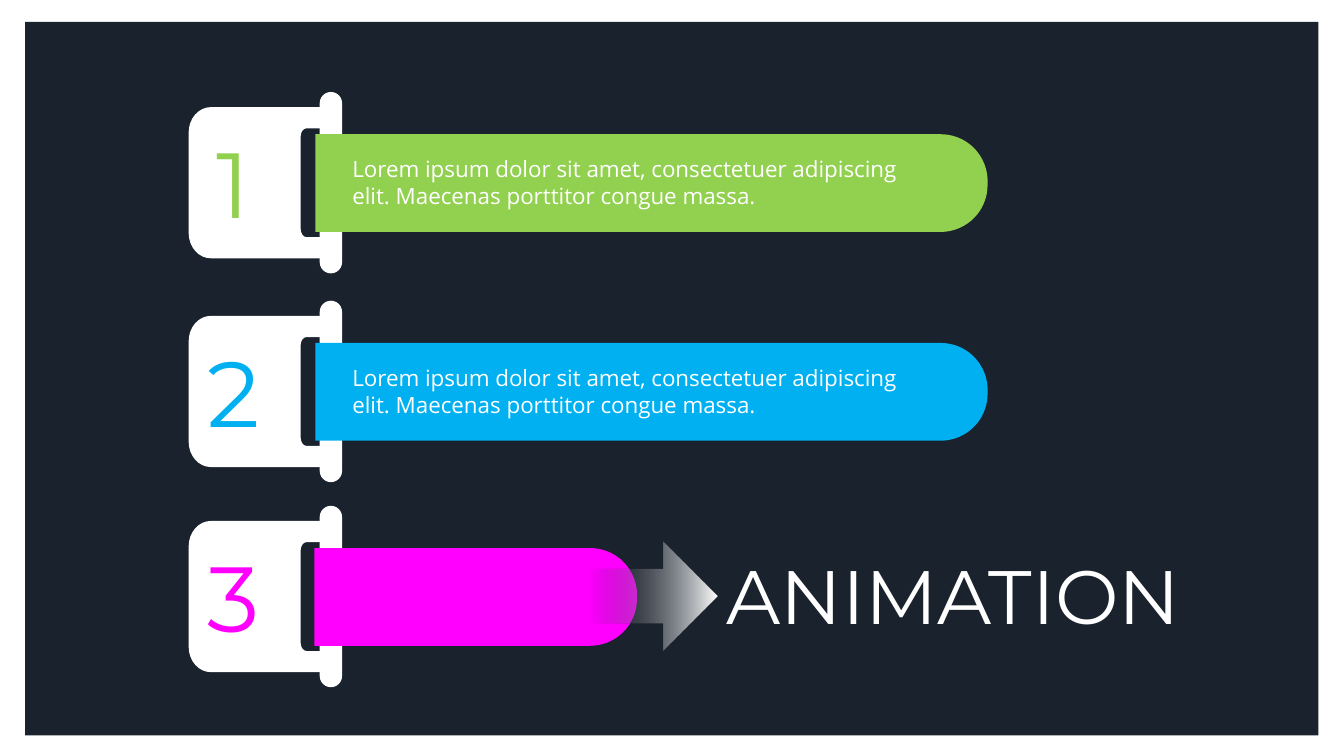
from pptx import Presentation
from pptx.dml.color import RGBColor
from pptx.enum.shapes import MSO_SHAPE as Preset
from pptx.enum.text import MSO_AUTO_SIZE as AutoSize, PP_ALIGN as Align
from pptx.oxml.ns import qn
from pptx.oxml.xmlchemy import OxmlElement
from pptx.util import Pt

WHITE = RGBColor(0xFF, 0xFF, 0xFF)
NAVY = RGBColor(0x1A, 0x22, 0x2D)
GREEN = RGBColor(0x92, 0xD0, 0x50)
BLUE = RGBColor(0x00, 0xB0, 0xF0)
MAGENTA = RGBColor(0xFF, 0x00, 0xFF)

HEADING_FONT = "Montserrat"
BODY_FONT = "Open Sans"
LOREM = ("Lorem ipsum dolor sit amet, consectetuer adipiscing elit. "
         "Maecenas porttitor congue massa.")
BAND_HEIGHT = 69.8
ROWS = [
    ("1", 65.7, GREEN, 225.2, 480.2, LOREM),
    ("2", 214.8, BLUE, 225.2, 480.2, LOREM),
    ("3", 361.3, MAGENTA, 224.6, 230.4, None),
]
TAB_LEFT = 127.8
TAB_OUTLINE = [
    (108, 15.9), (108, 94), (92.9, 94), (92.9, 84.3), (87.1, 80),
    (20.9, 80), (15.1, 84.3), (15.1, 94), (0, 94), (0, 15.9),
    (18, 0), (90, 0), (108, 15.9),
]
TAB_CORNERS = {4: (92.9, 80), 6: (15.1, 80), 10: (0, 0), 12: (108, 0)}
ROUNDNESS = 0.55


def paint(shape, color):
    """Give a shape a flat fill with no line or shadow."""
    shape.shadow.inherit = False
    shape.line.fill.background()
    shape.fill.solid()
    shape.fill.fore_color.rgb = color


def add_block(holder, preset, left, top, width, height, color):
    """Add a flat preset shape and return it."""
    shape = holder.shapes.add_shape(
        preset, Pt(left), Pt(top), Pt(width), Pt(height))
    paint(shape, color)
    return shape


def add_text(holder, text, left, top, width, height, size, font, color,
             align=Align.LEFT):
    """Add a wrapped text box with one paragraph."""
    box = holder.shapes.add_textbox(Pt(left), Pt(top), Pt(width), Pt(height))
    frame = box.text_frame
    frame.word_wrap = True
    frame.auto_size = AutoSize.SHAPE_TO_FIT_TEXT
    frame.text = text
    para = frame.paragraphs[0]
    para.alignment = align
    span = para.runs[0]
    span.font.size = Pt(size)
    span.font.name = font
    span.font.color.rgb = color


def toward(point, target):
    """Return the curve handle between a point and a corner."""
    return tuple(a + (b - a) * ROUNDNESS for a, b in zip(point, target))


def round_corners(shape):
    """Turn the short corner lines of a tab into curves."""
    lines = list(shape.element.iter(qn("a:lnTo")))
    for index, target in TAB_CORNERS.items():
        start, end = TAB_OUTLINE[index - 1:index + 1]
        curve = OxmlElement("a:cubicBezTo")
        for x, y in (toward(start, target), toward(end, target), end):
            point = OxmlElement("a:pt")
            point.set("x", str(Pt(x)))
            point.set("y", str(Pt(y)))
            curve.append(point)
        line = lines[index - 1]
        line.getparent().replace(line, curve)


def add_tab(holder, top):
    """Add the white rounded tab with a slot on its right edge."""
    points = [(Pt(TAB_LEFT + x), Pt(top + 17.8 + y)) for x, y in TAB_OUTLINE]
    builder = holder.shapes.build_freeform(*points[0])
    builder.add_line_segments(points[1:], close=True)
    tab = builder.convert_to_shape()
    paint(tab, WHITE)
    round_corners(tab)
    tab.rotation = 270


def add_post(page, top):
    """Add the upright white post of a row."""
    post = add_block(page, Preset.ROUNDED_RECTANGLE,
                     228.4, top, 16, 129.6, WHITE)
    post.adjustments[0] = 0.5


def add_band(holder, left, middle, length, color):
    """Add a coloured band whose right end is rounded."""
    band = add_block(
        holder, Preset.ROUND_2_SAME_RECTANGLE,
        left + (length - BAND_HEIGHT) / 2, middle - length / 2,
        BAND_HEIGHT, length, color)
    band.adjustments[0] = 0.48
    band.adjustments[1] = 0
    band.rotation = 90


def add_fading_arrow(page):
    """Add the arrow that fades in from clear to white."""
    arrow = add_block(page, Preset.RIGHT_ARROW, 418.3, 386.6, 94.3, 77.8, WHITE)
    arrow.fill.gradient()
    arrow.fill.gradient_angle = 0
    for stop, position, color in zip(
            arrow.fill.gradient_stops, (0.03, 1), (NAVY, WHITE)):
        stop.position = position
        stop.color.rgb = color
    alpha = OxmlElement("a:alpha")
    alpha.set("val", "0")
    next(arrow.element.iter(qn("a:srgbClr"))).append(alpha)


def main():
    """Build and save the slide."""
    deck = Presentation()
    deck.slide_width, deck.slide_height = Pt(960), Pt(540)
    page = deck.slides.add_slide(deck.slide_layouts[6])
    add_block(page, Preset.RECTANGLE, 18, 15.7, 923.8, 509.6, NAVY)
    for _, top, *_ in ROWS:
        add_post(page, top)
    for _, top, color, left, length, text in ROWS:
        holder = page.shapes.add_group_shape() if text else page
        add_band(holder, left, top + 65.1, length, color)
        if text:
            add_text(holder, text, 244.6, top + 41.7, 412.6, 46, 16,
                     BODY_FONT, WHITE)
    for number, top, color, *_ in ROWS:
        group = page.shapes.add_group_shape()
        add_tab(group, top)
        add_text(group, number, 136.8, top + 21, 59.8, 87, 66,
                 HEADING_FONT, color, Align.CENTER)
    add_fading_arrow(page)
    add_text(page, "ANIMATION", 511.9, 388.4, 363.6, 72.7, 54,
             HEADING_FONT, WHITE)
    deck.save("out.pptx")


if __name__ == "__main__":
    main()
